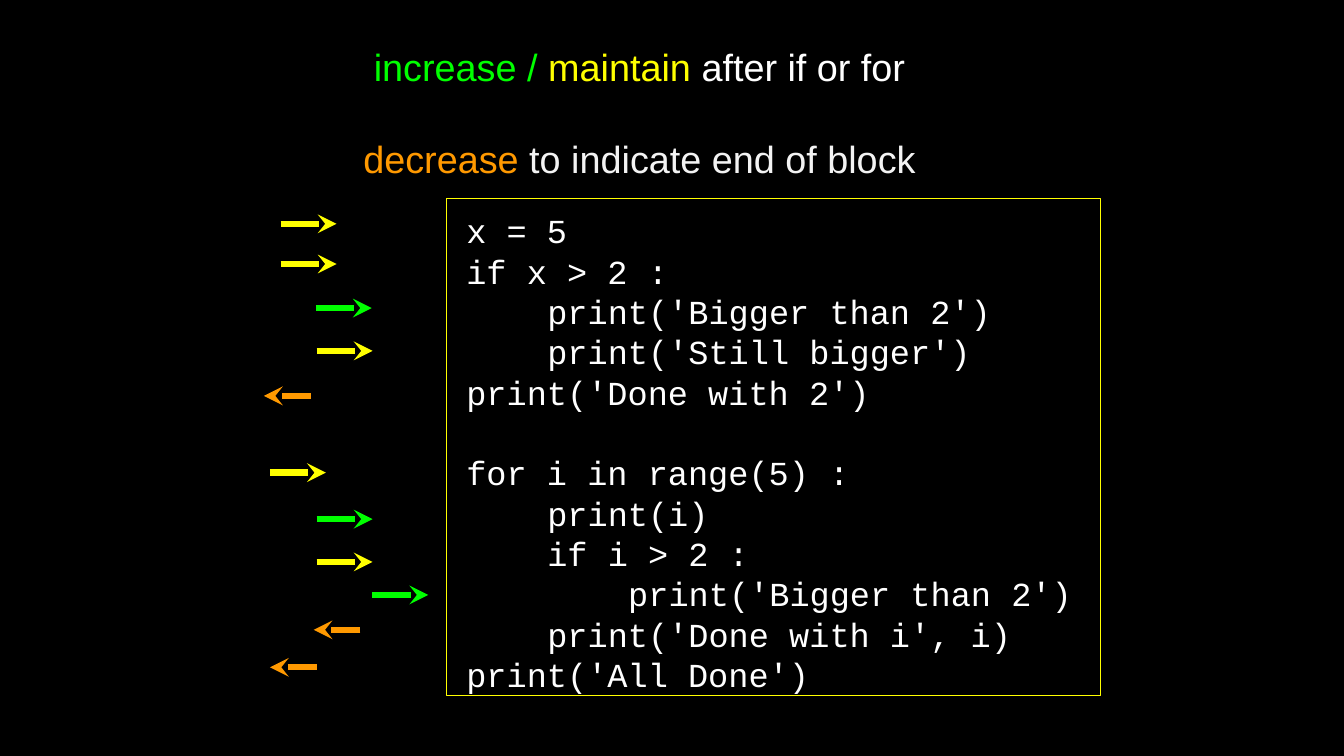
"""Builds a slide on how indentation marks blocks of code."""
from lxml import etree
from pptx import Presentation
from pptx.dml.color import RGBColor
from pptx.enum.shapes import MSO_CONNECTOR, MSO_SHAPE
from pptx.enum.text import MSO_ANCHOR, MSO_AUTO_SIZE, PP_ALIGN
from pptx.oxml.ns import qn
from pptx.util import Cm, Pt

STRAIGHT = MSO_CONNECTOR.STRAIGHT
RECTANGLE = MSO_SHAPE.RECTANGLE
MIDDLE = MSO_ANCHOR.MIDDLE
NO_FIT = MSO_AUTO_SIZE.NONE
CENTER, LEFT = PP_ALIGN.CENTER, PP_ALIGN.LEFT

TITLE_ONLY = 5
BLACK, WHITE, PALE = "000000", "FFFFFF", "F3F3F3"
GREEN, YELLOW, ORANGE = "00FF00", "FFFF00", "FF9900"
CHARACTER_WIDTH = 0.68
INDENT = 4 * CHARACTER_WIDTH

TITLE_LINES = [
    [("increase / ", GREEN), ("maintain ", YELLOW), ("after if or for", WHITE)],
    [("decrease ", ORANGE), ("to indicate end of block", PALE)],
]
CODE_BLOCKS = [
    [
        (0, "x = 5"),
        (0, "if x > 2 :"),
        (1, "print('Bigger than 2')"),
        (1, "print('Still bigger')"),
        (0, "print('Done with 2')"),
    ],
    [
        (0, "for i in range(5) :"),
        (1, "print(i)"),
        (1, "if i > 2 :"),
        (2, "print('Bigger than 2')"),
        (1, "print('Done with i', i)"),
        (0, "print('All Done')"),
    ],
]
ARROW_LENGTHS = {YELLOW: 1.88, GREEN: 1.88, ORANGE: -1.57}
ARROWS = [
    (YELLOW, 9.43, 7.52),
    (YELLOW, 9.43, 8.87),
    (GREEN, 10.61, 10.35),
    (YELLOW, 10.64, 11.79),
    (ORANGE, 10.44, 13.3),
    (YELLOW, 9.07, 15.88),
    (GREEN, 10.64, 17.44),
    (YELLOW, 10.64, 18.88),
    (GREEN, 12.51, 19.99),
    (ORANGE, 12.11, 21.16),
    (ORANGE, 10.64, 22.42),
]


def color(value):
    """Return the colour of a hex string."""
    return RGBColor.from_string(value)


class IndentationSlide:
    """Holds the style and the current slide."""

    title_font, title_size = "Arial", 36
    code_font, code_size, code_pitch = "Courier New", 32, 38.4

    def __init__(self, presentation):
        """Add a black slide."""
        self.slide = presentation.slides.add_slide(presentation.slide_layouts[TITLE_ONLY])
        self.slide.background.fill.solid()
        self.slide.background.fill.fore_color.rgb = color(BLACK)

    def prepare(self, shape, left=0, top=0, bottom=0):
        """Set the margins and anchor of a shape's text."""
        frame = shape.text_frame
        frame.margin_left, frame.margin_top = Cm(left), Cm(top)
        frame.margin_right, frame.margin_bottom = Cm(0), Cm(bottom)
        frame.vertical_anchor = MIDDLE
        frame.auto_size = NO_FIT
        frame.word_wrap = True
        return frame

    def format_run(self, run, font, size, value):
        """Set the font, size and colour of a run."""
        run.font.name, run.font.size, run.font.bold = font, Pt(size), False
        run.font.color.rgb = color(value)

    def title(self, lines, left, top, width, height):
        """Fill the title with lines of coloured parts."""
        shape = self.slide.shapes.title
        shape.left, shape.top, shape.width, shape.height = map(Cm, (left, top, width, height))
        frame = self.prepare(shape, bottom=1.28)
        for number, parts in enumerate(lines):
            paragraph = frame.add_paragraph() if number else frame.paragraphs[0]
            paragraph.alignment = CENTER
            paragraph.space_before = Pt(44 if number else 0)
            for text, value in parts:
                run = paragraph.add_run()
                run.text = text
                self.format_run(run, self.title_font, self.title_size, value)

    def code(self, blocks, left, top, width, height):
        """Add a framed listing with a gap between its blocks."""
        shape = self.slide.shapes.add_shape(RECTANGLE, Cm(left), Cm(top), Cm(width), Cm(height))
        shape.shadow.inherit = False
        shape.fill.background()
        shape.line.color.rgb = color(YELLOW)
        shape.line.width = Pt(1)
        frame = self.prepare(shape, left=CHARACTER_WIDTH, top=0.33)
        frame.text = "\n".join(text for block in blocks for _, text in block)
        paragraphs = iter(frame.paragraphs)
        for block_number, block in enumerate(blocks):
            for line_number, (level, _) in enumerate(block):
                paragraph = next(paragraphs)
                paragraph.alignment = LEFT
                paragraph.line_spacing = Pt(self.code_pitch)
                if block_number and not line_number:
                    paragraph.space_before = Pt(self.code_pitch)
                paragraph._p.get_or_add_pPr().set("marL", str(Cm(level * INDENT)))
                self.format_run(paragraph.runs[0], self.code_font, self.code_size, WHITE)

    def arrow(self, value, start, y):
        """Add a horizontal arrow whose colour sets its direction."""
        end = start + ARROW_LENGTHS[value]
        connector = self.slide.shapes.add_connector(STRAIGHT, Cm(start), Cm(y), Cm(end), Cm(y))
        connector.line.color.rgb = color(value)
        connector.line.width = Pt(6)
        line = connector.line._get_or_add_ln()
        etree.SubElement(line, qn("a:tailEnd")).set("type", "stealth")
        etree.SubElement(connector._element.spPr, qn("a:effectLst"))


def main():
    """Build and save the presentation."""
    presentation = Presentation()
    presentation.slide_width, presentation.slide_height = Cm(45.16), Cm(25.4)
    slide = IndentationSlide(presentation)
    slide.title(TITLE_LINES, 11.51, 2.67, 19.96, 3.48)
    slide.code(CODE_BLOCKS, 14.99, 6.68, 22, 16.69)
    for arrow in ARROWS:
        slide.arrow(*arrow)
    presentation.save("out.pptx")


main()
